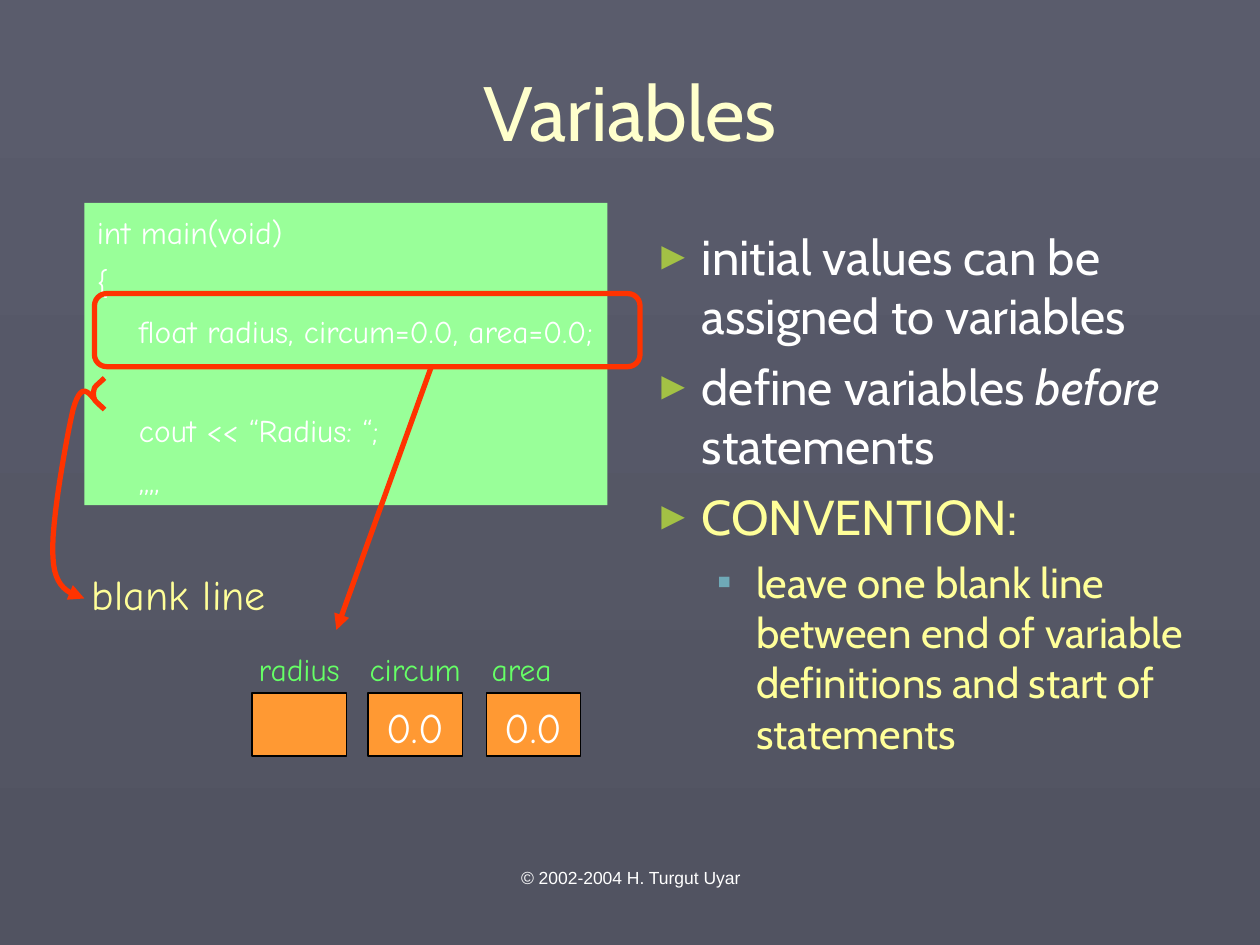
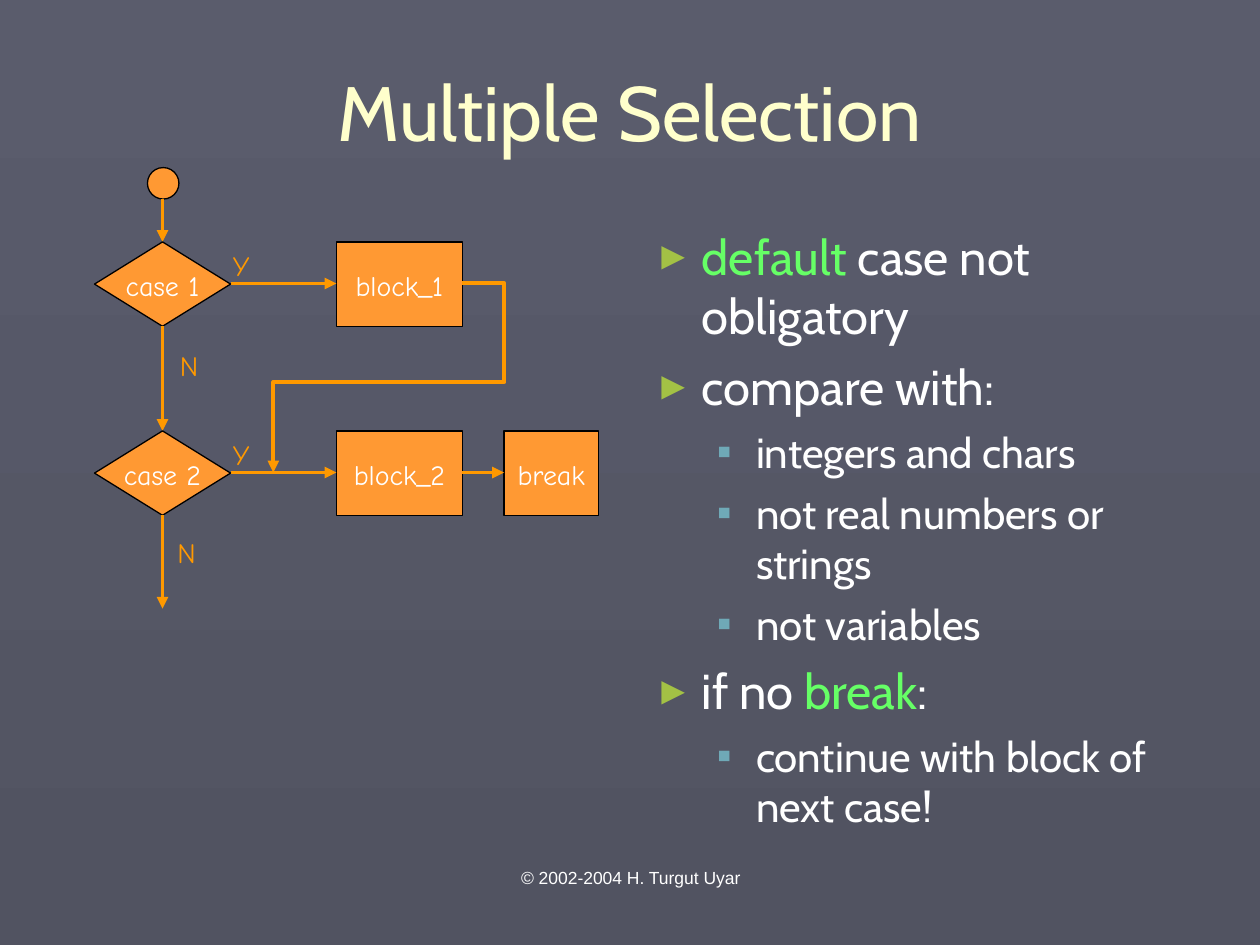
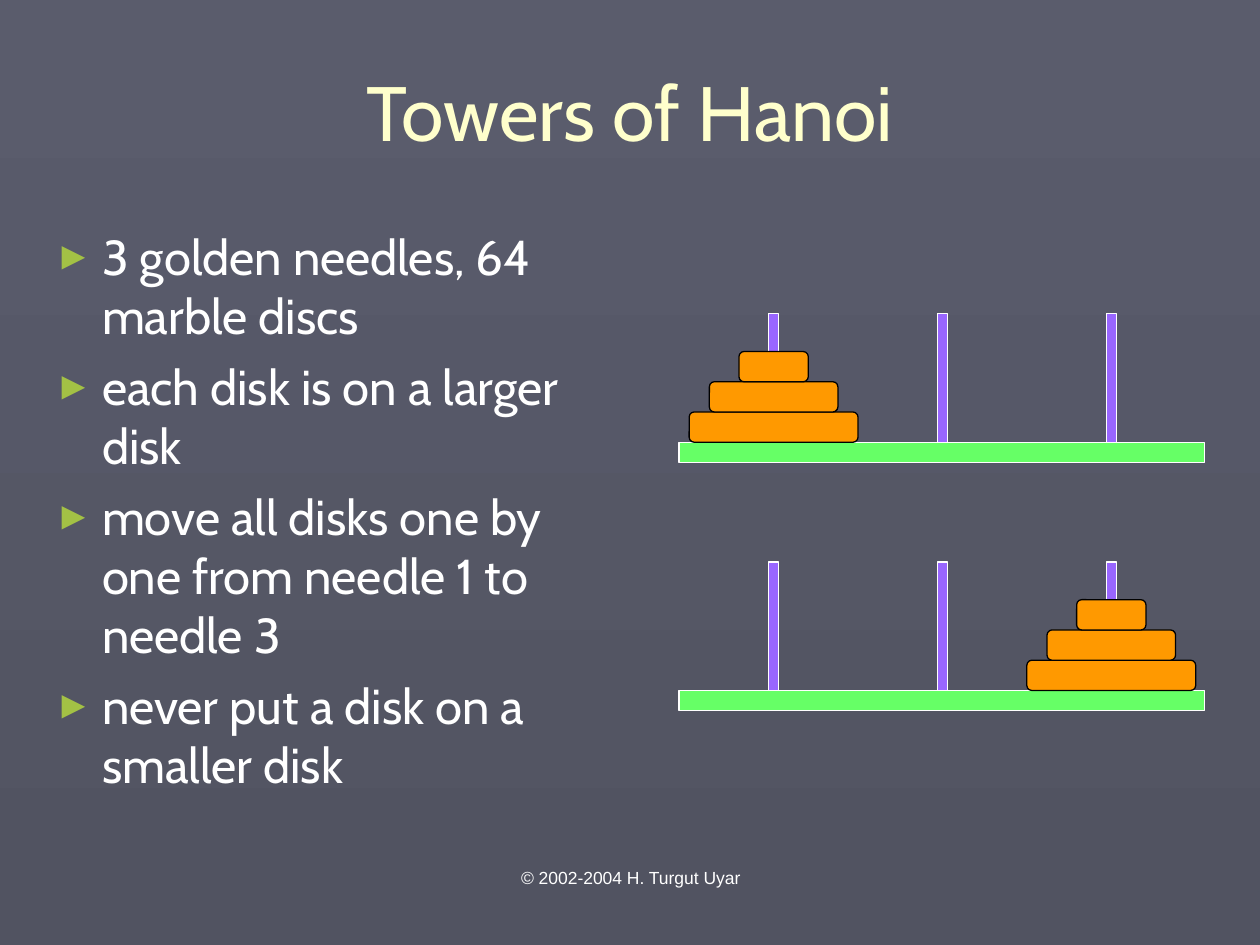
from dataclasses import dataclass
from typing import NamedTuple

from lxml import etree
from pptx import Presentation
from pptx import util as u
from pptx.dml.color import RGBColor
from pptx.enum import shapes, text
from pptx.oxml import ns

WHITE, BLACK = "FFFFFF", "000000"
CREAM, YELLOW, GREEN = "FFFFCC", "FFFF99", "66FF66"
ORANGE, AMBER, RED, PURPLE = "FF9933", "FF9900", "FF3300", "9966FF"
HAND, SANS = "Comic Neue", "Cabin"
KIND = shapes.MSO_SHAPE
CENTER, LEFT = text.PP_ALIGN.CENTER, text.PP_ALIGN.LEFT


@dataclass(frozen=True)
class Caption:
    content: str
    size: float
    color: str = WHITE
    align: text.PP_ALIGN = CENTER
    gap: float = 0


@dataclass(frozen=True)
class Node:
    left: float
    top: float
    width: float
    height: float
    kind: shapes.MSO_SHAPE = KIND.RECTANGLE
    fill: str | None = ORANGE
    line: str | None = BLACK
    weight: float = 0.75
    caption: Caption | None = None


@dataclass(frozen=True)
class Arrow:
    start: tuple[float, float]
    end: tuple[float, float]
    color: str = AMBER
    weight: float = 2.25


class Span(NamedTuple):
    content: str
    color: str = WHITE
    italic: bool = False


class Item(NamedTuple):
    level: int
    spans: list[Span]


class Bullet(NamedTuple):
    symbol: str
    color: str
    percent: int
    margin: float
    hang: float
    size: float
    gap: float


BULLETS = [
    Bullet("►", "A3C145", 80, 0.38, 0.38, 28, 7),
    Bullet("▪", "6FA9B7", 100, 0.81, 0.31, 24, 6),
]


def rgb(color: str) -> RGBColor:
    return RGBColor.from_string(color)


def add_child(parent, tag: str, **attributes: str):
    child = etree.SubElement(parent, ns.qn(tag))
    for key, value in attributes.items():
        child.set(key, value)
    return child


def set_font(font, name: str, size: float, color: str) -> None:
    font.name = name
    font.size = u.Pt(size)
    font.color.rgb = rgb(color)


def set_line(line, color: str, weight: float, arrowhead: bool = False) -> None:
    line.color.rgb = rgb(color)
    line.width = u.Pt(weight)
    if arrowhead:
        add_child(line._get_or_add_ln(), "a:tailEnd", type="triangle")


def place(box, left: float, top: float, width: float, height: float) -> None:
    box.left, box.top = u.Inches(left), u.Inches(top)
    box.width, box.height = u.Inches(width), u.Inches(height)


def write_caption(box, caption: Caption) -> None:
    frame = box.text_frame
    frame.word_wrap = False
    frame.vertical_anchor = text.MSO_ANCHOR.MIDDLE
    for index, row in enumerate(caption.content.split("\n")):
        para = frame.add_paragraph() if index else frame.paragraphs[0]
        para.text = row
        para.alignment = caption.align
        para.line_spacing = 1.1
        para.space_before = u.Pt(caption.gap if index else 0)
        set_font(para.font, HAND, caption.size, caption.color)


def draw_node(page, node: Node):
    box = page.shapes.add_shape(
        node.kind, *map(u.Inches, (node.left, node.top, node.width, node.height))
    )
    box.shadow.inherit = False
    if node.fill:
        box.fill.solid()
        box.fill.fore_color.rgb = rgb(node.fill)
    else:
        box.fill.background()
    if node.line:
        set_line(box.line, node.line, node.weight)
    else:
        box.line.fill.background()
    if node.caption:
        write_caption(box, node.caption)
    return box


def draw_label(page, left: float, top: float, width: float, height: float, caption: Caption) -> None:
    box = page.shapes.add_textbox(*map(u.Inches, (left, top, width, height)))
    write_caption(box, caption)


def draw_arrow(page, arrow: Arrow, kind=shapes.MSO_CONNECTOR.STRAIGHT):
    connector = page.shapes.add_connector(kind, *map(u.Inches, arrow.start + arrow.end))
    set_line(connector.line, arrow.color, arrow.weight, arrowhead=True)
    add_child(connector.element.spPr, "a:effectLst")
    return connector


def draw_bent_arrow(page, arrow: Arrow, adjustments: tuple[int, int]) -> None:
    connector = draw_arrow(page, arrow, shapes.MSO_CONNECTOR.ELBOW)
    geometry = connector.element.spPr.find(ns.qn("a:prstGeom"))
    geometry.set("prst", "bentConnector4")
    guides = geometry.find(ns.qn("a:avLst"))
    for number, value in enumerate(adjustments, 1):
        add_child(guides, "a:gd", name=f"adj{number}", fmla=f"val {value}")


def draw_curve(page, knots: list[tuple[float, float]], arrowhead: bool = False) -> None:
    steps = 12
    points = []
    for first in range(0, len(knots) - 1, 3):
        a, b, c, d = knots[first:first + 4]
        for step in range(1, steps + 1):
            t = step / steps
            weights = ((1 - t) ** 3, 3 * t * (1 - t) ** 2, 3 * t * t * (1 - t), t ** 3)
            points.append(tuple(
                u.Inches(sum(w * knot[axis] for w, knot in zip(weights, (a, b, c, d))))
                for axis in (0, 1)
            ))
    builder = page.shapes.build_freeform(*map(u.Inches, knots[0]))
    builder.add_line_segments(points, close=False)
    curve = builder.convert_to_shape()
    curve.shadow.inherit = False
    curve.fill.background()
    set_line(curve.line, RED, 3, arrowhead)


def write_list(body, items: list[Item]) -> None:
    frame = body.text_frame
    frame.auto_size = text.MSO_AUTO_SIZE.NONE
    for index, item in enumerate(items):
        bullet = BULLETS[item.level]
        para = frame.add_paragraph() if index else frame.paragraphs[0]
        para.level = item.level
        para.space_before = u.Pt(bullet.gap if index else 0)
        props = para._p.get_or_add_pPr()
        props.set("marL", str(u.Inches(bullet.margin)))
        props.set("indent", str(-u.Inches(bullet.hang)))
        add_child(add_child(props, "a:buClr"), "a:srgbClr", val=bullet.color)
        add_child(props, "a:buSzPct", val=str(bullet.percent * 1000))
        add_child(props, "a:buChar", char=bullet.symbol)
        set_font(para.font, SANS, bullet.size, item.spans[0].color)
        for span in item.spans:
            run = para.add_run()
            run.text = span.content
            if span.color != item.spans[0].color:
                run.font.color.rgb = rgb(span.color)
            if span.italic:
                run.font.italic = True


def add_page(deck, heading: str, list_left: float, items: list[Item]):
    page = deck.slides.add_slide(deck.slide_layouts[1])
    title, body = page.placeholders
    place(title, 0.33, 0.25, 9.34, 1.25)
    title.text_frame.auto_size = text.MSO_AUTO_SIZE.NONE
    title.text_frame.vertical_anchor = text.MSO_ANCHOR.MIDDLE
    para = title.text_frame.paragraphs[0]
    para.text = heading
    para.alignment = CENTER
    set_font(para.font, SANS, 44, CREAM)
    place(body, list_left, 1.75, 4.59, 4.92)
    write_list(body, items)

    footer = page.shapes.add_textbox(*map(u.Inches, (3.42, 6.83, 3.17, 0.52)))
    footer.text_frame.word_wrap = True
    para = footer.text_frame.paragraphs[0]
    para.text = "© 2002-2004 H. Turgut Uyar"
    para.alignment = CENTER
    set_font(para.font, "Arial", 10, WHITE)
    return page


def build_variables(deck) -> None:
    page = add_page(deck, "Variables", 5.09, [
        Item(0, [Span("initial values can be assigned to variables")]),
        Item(0, [Span("define variables "), Span("before", italic=True), Span(" statements")]),
        Item(0, [Span("CONVENTION:", YELLOW)]),
        Item(1, [Span("leave one blank line between end of variable definitions "
                      "and start of statements", YELLOW)]),
    ])
    code = "\n".join([
        "int main(void)",
        "{",
        "    float radius, circum=0.0, area=0.0;",
        "",
        "    cout << “Radius: “;",
        "    ,,,,",
    ])
    draw_node(page, Node(0.67, 1.61, 4.15, 2.4, fill="99FF99", line=None,
                         caption=Caption(code, 18, align=LEFT, gap=4.5)))
    cells = [
        ("radius", None, 2, 1.95, 0.85),
        ("circum", "0.0", 2.92, 2.83, 0.93),
        ("area", "0.0", 3.86, 3.8, 0.68),
    ]
    for name, value, left, label_left, label_width in cells:
        caption = Caption(value, 24) if value else None
        draw_node(page, Node(left, 5.5, 0.75, 0.5, caption=caption))
        draw_label(page, label_left, 5.08, label_width, 0.43, Caption(name, 18, GREEN))

    draw_node(page, Node(0.75, 2.33, 4.33, 0.58, KIND.ROUNDED_RECTANGLE, None, RED, 3))
    draw_arrow(page, Arrow((3.42, 2.92), (2.67, 5), RED, 3))
    draw_curve(page, [(0.83, 3), (0.8, 3.03), (0.76, 3.06), (0.75, 3.08), (0.74, 3.11),
                      (0.74, 3.14), (0.75, 3.17), (0.76, 3.19), (0.8, 3.22), (0.83, 3.25)])
    draw_label(page, 0.63, 4.42, 1.58, 0.54, Caption("blank line", 24, YELLOW))
    draw_curve(page, [(0.75, 3.17), (0.69, 3.1), (0.64, 3.04), (0.58, 3.25), (0.53, 3.46),
                      (0.4, 4.17), (0.42, 4.42), (0.43, 4.67), (0.55, 4.71), (0.67, 4.75)],
               arrowhead=True)


def build_selection(deck) -> None:
    page = add_page(deck, "Multiple Selection", 5.09, [
        Item(0, [Span("default", GREEN), Span(" case not obligatory")]),
        Item(0, [Span("compare with:")]),
        Item(1, [Span("integers and chars")]),
        Item(1, [Span("not real numbers or strings")]),
        Item(1, [Span("not variables")]),
        Item(0, [Span("if no "), Span("break", GREEN), Span(":")]),
        Item(1, [Span("continue with block of next case!")]),
    ])
    trunk, height = 1.29, 0.67
    draw_node(page, Node(1.17, 1.33, 0.25, 0.25, KIND.OVAL))
    draw_arrow(page, Arrow((trunk, 1.58), (trunk, 1.92)))
    branches = [(1, 1.92, 3.42, 1.33, 2.69), (2, 3.42, 4.83, 1.31, 4.17)]
    for number, top, next_top, no_left, no_top in branches:
        middle = top + 0.33
        draw_node(page, Node(2.67, top, 1, height, caption=Caption(f"block_{number}", 16)))
        draw_arrow(page, Arrow((1.83, middle), (2.67, middle)))
        draw_label(page, 1.75, top - 0.03, 0.33, 0.4, Caption("Y", 16, AMBER))
        draw_node(page, Node(0.75, top, 1.08, height, KIND.DIAMOND,
                             caption=Caption(f"case {number}", 16)))
        draw_arrow(page, Arrow((trunk, top + height), (trunk, next_top)))
        draw_label(page, no_left, no_top, 0.34, 0.4, Caption("N", 16, AMBER))
    draw_node(page, Node(4, 3.42, 0.75, height, caption=Caption("break", 16)))
    draw_arrow(page, Arrow((3.67, 3.75), (4, 3.75)))
    draw_bent_arrow(page, Arrow((3.67, 2.25), (2.17, 3.75)), (-22300, 52200))


def draw_towers(page, base_top: float, loaded: int) -> None:
    centers = [6.14 + 1.34 * index for index in range(3)]
    disc_height = 0.24
    for center in centers:
        draw_node(page, Node(center - 0.04, base_top - 1.02, 0.08, 1.02, fill=PURPLE, line=WHITE))
    draw_node(page, Node(5.39, base_top, 4.17, 0.16, fill=GREEN, line=WHITE))
    for level, width in enumerate((1.34, 1.02, 0.55), 1):
        draw_node(page, Node(centers[loaded] - width / 2, base_top - level * disc_height,
                             width, disc_height, KIND.ROUNDED_RECTANGLE, AMBER))


def build_hanoi(deck) -> None:
    page = add_page(deck, "Towers of Hanoi", 0.33, [
        Item(0, [Span("3 golden needles, 64 marble discs")]),
        Item(0, [Span("each disk is on a larger disk")]),
        Item(0, [Span("move all disks one by one from needle 1 to needle 3")]),
        Item(0, [Span("never put a disk on a smaller disk")]),
    ])
    draw_towers(page, 3.51, loaded=0)
    draw_towers(page, 5.48, loaded=2)


def main() -> None:
    deck = Presentation()
    deck.slide_width, deck.slide_height = u.Inches(10), u.Inches(7.5)
    backdrop = deck.slide_master.background.fill
    backdrop.gradient()
    backdrop.gradient_angle = 270
    for stop, color in zip(backdrop.gradient_stops, ("5A5C6C", "515361")):
        stop.color.rgb = rgb(color)
    build_variables(deck)
    build_selection(deck)
    build_hanoi(deck)
    deck.save("out.pptx")


if __name__ == "__main__":
    main()
